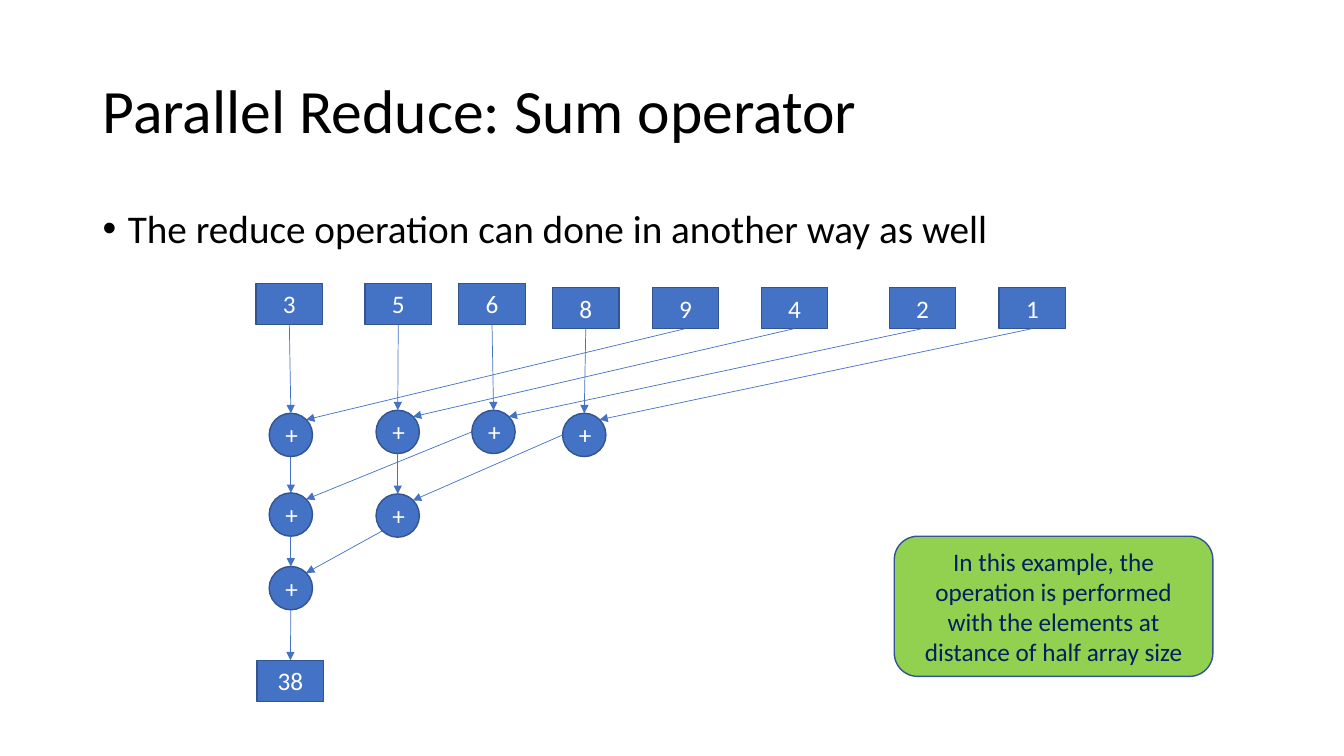
from lxml.etree import SubElement
from pptx import Presentation
from pptx.dml.color import RGBColor
from pptx.enum.shapes import MSO_CONNECTOR, MSO_SHAPE
from pptx.enum.text import MSO_ANCHOR, PP_ALIGN
from pptx.oxml.ns import qn
from pptx.util import Inches, Pt

BLUE = "4472C4"
OUTLINE = "325491"
WHITE = "FFFFFF"
BOX_SIZE = (0.66, 0.41)
NODE_SIZE = (0.43, 0.43)
SIDES = {
    "top": (0.5, 0),
    "left": (0, 0.5),
    "bottom": (0.5, 1),
    "upper right": (0.85, 0.15),
    "lower left": (0.15, 0.85),
}
INPUTS = [
    ("3", 2.54, 2.81),
    ("5", 3.62, 2.81),
    ("6", 4.55, 2.81),
    ("8", 5.48, 2.85),
    ("9", 6.47, 2.85),
    ("4", 7.55, 2.85),
    ("2", 8.82, 2.85),
    ("1", 9.91, 2.85),
]
FIRST_SUMS = [(2.67, 4.1), (3.73, 4.07), (4.68, 4.07), (5.58, 4.1)]
SECOND_SUMS = [(2.67, 4.89), (3.73, 4.9)]
LAST_SUM = (2.67, 5.62)


def color(value):
    return RGBColor.from_string(value)


def set_font(paragraph, size, value):
    paragraph.font.name = "Calibri"
    paragraph.font.size = Pt(size)
    paragraph.font.color.rgb = color(value)


def add_text(page, left, top, width, height, text, size, anchor, bullet=False):
    box = page.shapes.add_textbox(Inches(left), Inches(top), Inches(width), Inches(height))
    frame = box.text_frame
    frame.word_wrap = True
    frame.vertical_anchor = anchor
    para = frame.paragraphs[0]
    para.text = text
    para.line_spacing = 0.9
    if bullet:
        properties = para._p.get_or_add_pPr()
        properties.set("marL", str(Inches(0.25)))
        properties.set("indent", str(-Inches(0.25)))
        SubElement(properties, qn("a:buFont"), typeface="Arial")
        SubElement(properties, qn("a:buChar"), char="•")
    set_font(para, size, "000000")


def add_block(page, kind, left, top, size, text, fill=BLUE, text_color=WHITE):
    width, height = size
    block = page.shapes.add_shape(kind, Inches(left), Inches(top), Inches(width), Inches(height))
    block.shadow.inherit = False
    block.fill.solid()
    block.fill.fore_color.rgb = color(fill)
    block.line.color.rgb = color(OUTLINE)
    block.line.width = Pt(1)
    block.text_frame.word_wrap = True
    block.text_frame.vertical_anchor = MSO_ANCHOR.MIDDLE
    para = block.text_frame.paragraphs[0]
    para.text = text
    para.alignment = PP_ALIGN.CENTER
    set_font(para, 18, text_color)
    return block


def add_box(page, text, left, top):
    return add_block(page, MSO_SHAPE.RECTANGLE, left, top, BOX_SIZE, text)


def add_node(page, left, top):
    return add_block(page, MSO_SHAPE.FLOWCHART_CONNECTOR, left, top, NODE_SIZE, "+")


def side_point(shape, side):
    across, down = SIDES[side]
    return int(shape.left + across * shape.width), int(shape.top + down * shape.height)


def add_arrow(page, source, source_side, target, target_side):
    arrow = page.shapes.add_connector(
        MSO_CONNECTOR.STRAIGHT,
        *side_point(source, source_side),
        *side_point(target, target_side),
    )
    if source.auto_shape_type == MSO_SHAPE.RECTANGLE:
        arrow.begin_connect(source, 2)
    if target_side == "top":
        arrow.end_connect(target, 0)
    arrow.line.color.rgb = color(BLUE)
    arrow.line.width = Pt(0.5)
    SubElement(arrow.line._get_or_add_ln(), qn("a:tailEnd"), type="triangle")
    SubElement(arrow._element.spPr, qn("a:effectLst"))


def add_reduction(page, sources, sums, far_side):
    half = len(sums)
    for near, far, node in zip(sources[:half], sources[half:], sums):
        add_arrow(page, near, "bottom", node, "top")
        add_arrow(page, far, far_side, node, "upper right")


def main():
    deck = Presentation()
    deck.slide_width = Inches(13.33)
    deck.slide_height = Inches(7.5)
    page = deck.slides.add_slide(deck.slide_layouts[6])

    add_text(page, 0.92, 0.4, 11.5, 1.45, "Parallel Reduce: Sum operator", 44, MSO_ANCHOR.MIDDLE)
    add_text(page, 0.92, 2.03, 11.5, 4.76, "The reduce operation can done in another way as well",
             28, MSO_ANCHOR.TOP, bullet=True)

    inputs = [add_box(page, *entry) for entry in INPUTS]
    first_sums = [add_node(page, *place) for place in FIRST_SUMS]
    second_sums = [add_node(page, *place) for place in SECOND_SUMS]
    last_sum = add_node(page, *LAST_SUM)
    total = add_box(page, "38", 2.55, 6.55)

    add_reduction(page, inputs, first_sums, "bottom")
    add_reduction(page, first_sums, second_sums, "left")
    add_reduction(page, second_sums, [last_sum], "lower left")
    add_arrow(page, last_sum, "bottom", total, "top")

    add_block(page, MSO_SHAPE.ROUNDED_RECTANGLE, 8.87, 5.32, (3.16, 1.39),
              "In this example, the operation is performed with the elements "
              "at distance of half array size", "92D050", "002060")
    deck.save("out.pptx")


if __name__ == "__main__":
    main()
